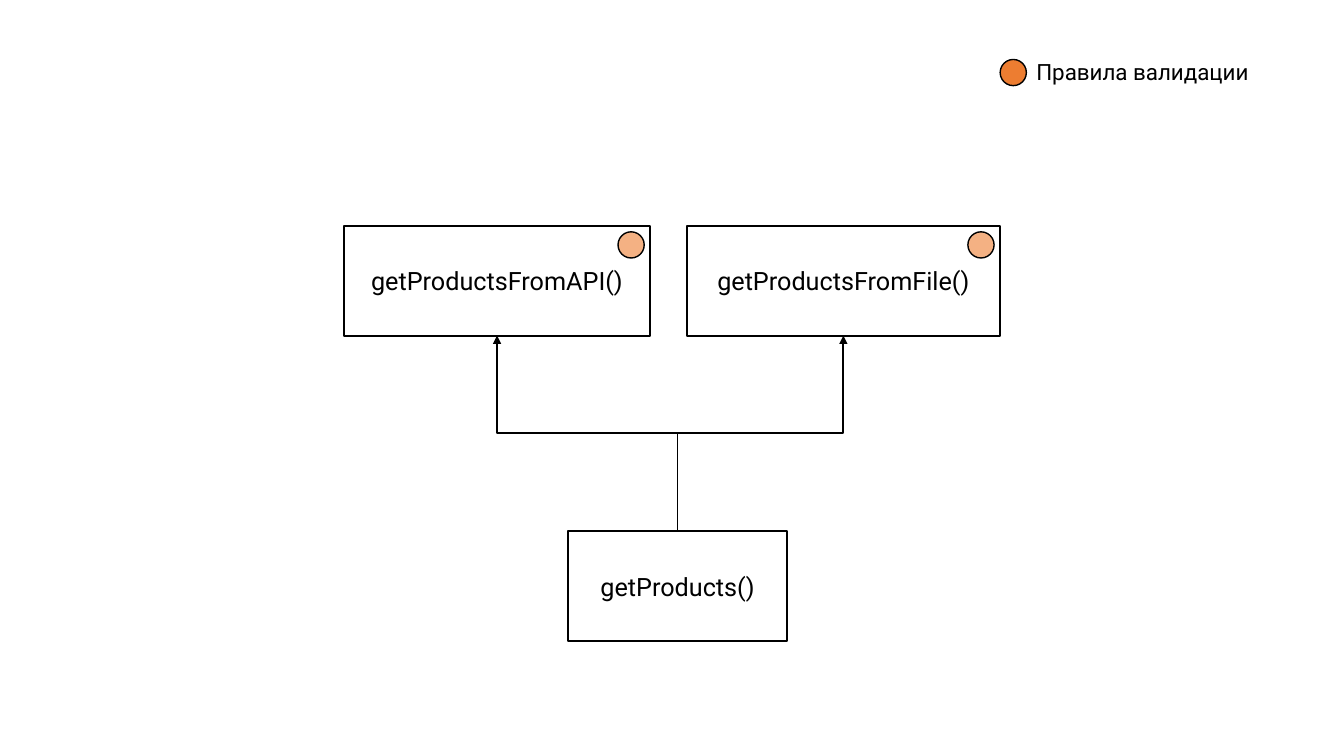
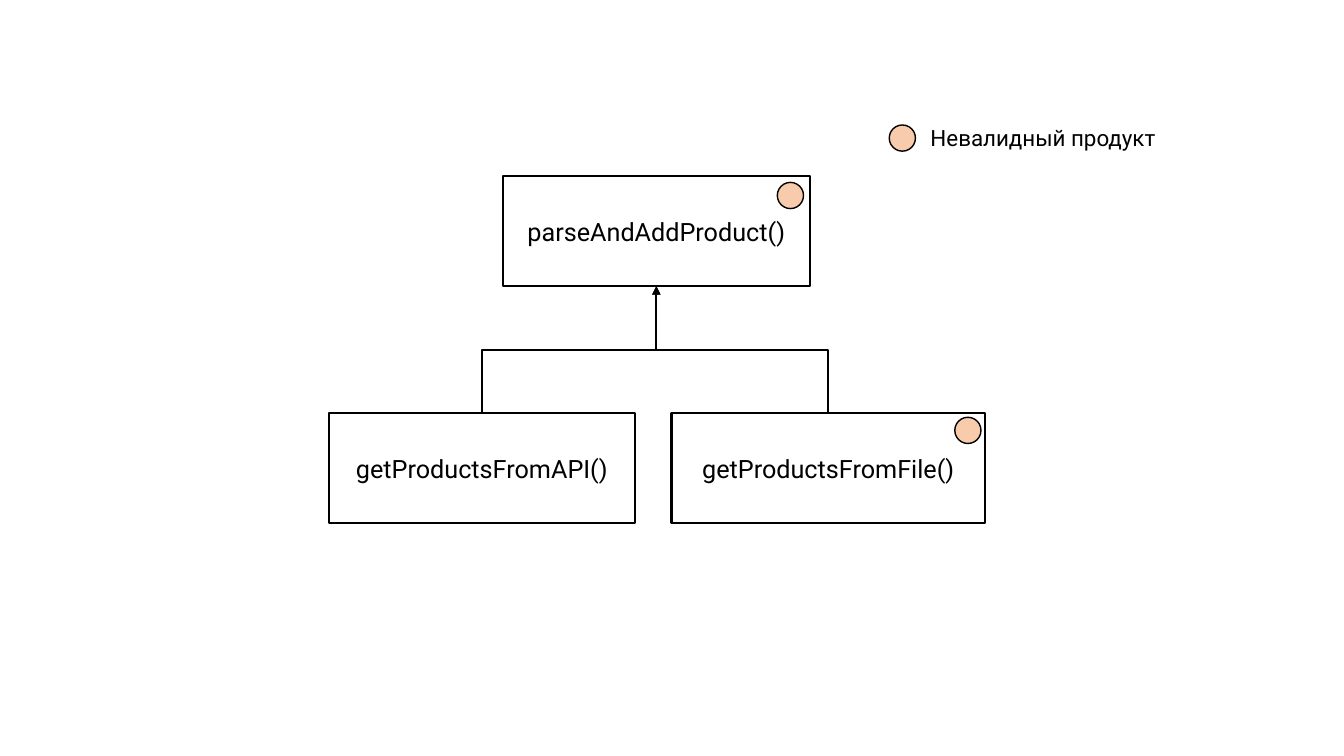
from lxml import etree
from pptx import Presentation
from pptx.dml.color import RGBColor
from pptx.enum.shapes import MSO_CONNECTOR, MSO_SHAPE
from pptx.enum.text import MSO_ANCHOR, MSO_AUTO_SIZE, PP_ALIGN
from pptx.oxml.ns import qn
from pptx.util import Inches, Pt

RECTANGLE = MSO_SHAPE.RECTANGLE
OVAL = MSO_SHAPE.OVAL
ELBOW = MSO_CONNECTOR.ELBOW
MIDDLE = MSO_ANCHOR.MIDDLE
FIT_SHAPE = MSO_AUTO_SIZE.SHAPE_TO_FIT_TEXT
LEFT = PP_ALIGN.LEFT
CENTER = PP_ALIGN.CENTER

TOP_SIDE = 0
BOTTOM_SIDE = 2
BLANK_LAYOUT = 6


def color(value):
    return RGBColor.from_string(value)


class CallDiagram:
    font_name = "Roboto"
    ink = "000000"
    paper = "FFFFFF"
    box_height = 1.09
    marker_size = 0.26
    loader_step = 3.4

    def __init__(self):
        self.presentation = Presentation()
        self.presentation.slide_width = Inches(13.33)
        self.presentation.slide_height = Inches(7.5)
        self.slide = None

    def new_slide(self):
        layout = self.presentation.slide_layouts[BLANK_LAYOUT]
        self.slide = self.presentation.slides.add_slide(layout)

    def add_text(self, shape, text, size, alignment):
        paragraph = shape.text_frame.paragraphs[0]
        paragraph.alignment = alignment
        run = paragraph.add_run()
        run.text = text
        run.font.name = self.font_name
        run.font.size = Pt(size)
        run.font.color.rgb = color(self.ink)

    def outlined(self, kind, left, top, width, height, fill, line_width):
        shape = self.slide.shapes.add_shape(
            kind, Inches(left), Inches(top), Inches(width), Inches(height)
        )
        shape.shadow.inherit = False
        shape.fill.solid()
        shape.fill.fore_color.rgb = color(fill)
        shape.line.color.rgb = color(self.ink)
        shape.line.width = Pt(line_width)
        return shape

    def function_box(self, text, left, top, width):
        box = self.outlined(RECTANGLE, left, top, width, self.box_height, self.paper, 1.5)
        box.text_frame.word_wrap = True
        box.text_frame.vertical_anchor = MIDDLE
        self.add_text(box, text, 18, CENTER)
        return box

    def loader_boxes(self, left, top):
        api_loader = self.function_box("getProductsFromAPI()", left, top, 3.04)
        file_loader = self.function_box(
            "getProductsFromFile()", left + self.loader_step, top, 3.11
        )
        return api_loader, file_loader

    def marker(self, left, top, fill):
        self.outlined(OVAL, left, top, self.marker_size, self.marker_size, fill, 1)

    def corner_marker(self, box, inset, fill):
        right = (box.left + box.width) / Inches(1)
        self.marker(right - inset - self.marker_size, box.top / Inches(1) + inset, fill)

    def legend(self, text, left, top, width, fill, alignment):
        self.marker(left, top, fill)
        label = self.slide.shapes.add_textbox(
            Inches(left + self.marker_size), Inches(top - 0.06), Inches(width), Inches(0.37)
        )
        label.text_frame.word_wrap = False
        label.text_frame.auto_size = FIT_SHAPE
        self.add_text(label, text, 16, alignment)

    def call_arrow(self, caller, called):
        connector = self.slide.shapes.add_connector(ELBOW, 0, 0, 0, 0)
        connector.begin_connect(caller, TOP_SIDE)
        connector.end_connect(called, BOTTOM_SIDE)
        goes_right = connector.end_x > connector.begin_x
        center_x = (connector.begin_x + connector.end_x) // 2
        center_y = (connector.begin_y + connector.end_y) // 2
        across = abs(connector.end_x - connector.begin_x)
        rise = abs(connector.end_y - connector.begin_y)
        connector.left = center_x - rise // 2
        connector.top = center_y - across // 2
        connector.width = rise
        connector.height = across
        properties = connector._element.spPr
        transform = properties.find(qn("a:xfrm"))
        transform.set("rot", str((90 if goes_right else 270) * 60000))
        transform.set("flipH", "1" if goes_right else "0")
        transform.set("flipV", "1")
        connector.line.color.rgb = color(self.ink)
        connector.line.width = Pt(1.25)
        line = properties.find(qn("a:ln"))
        etree.SubElement(line, qn("a:tailEnd"), type="triangle")
        etree.SubElement(properties, qn("a:effectLst"))


def add_validation_rules(diagram):
    diagram.new_slide()
    products = diagram.function_box("getProducts()", 5.63, 5.27, 2.18)
    loaders = diagram.loader_boxes(3.41, 2.24)
    for loader in loaders:
        diagram.call_arrow(products, loader)
        diagram.corner_marker(loader, 0.06, "F4B183")
    diagram.legend("Правила валидации", 9.92, 0.59, 2.41, "ED7D31", LEFT)


def add_invalid_product(diagram):
    peach = "F8CBAD"
    diagram.new_slide()
    loaders = diagram.loader_boxes(3.26, 4.1)
    parser = diagram.function_box("parseAndAddProduct()", 4.99, 1.75, 3.04)
    for loader in loaders:
        diagram.call_arrow(loader, parser)
    diagram.corner_marker(parser, 0.06, peach)
    diagram.corner_marker(loaders[1], 0.04, peach)
    diagram.legend("Невалидный продукт", 8.82, 1.24, 2.53, peach, CENTER)


def main():
    diagram = CallDiagram()
    add_validation_rules(diagram)
    add_invalid_product(diagram)
    diagram.presentation.save("out.pptx")


if __name__ == "__main__":
    main()
